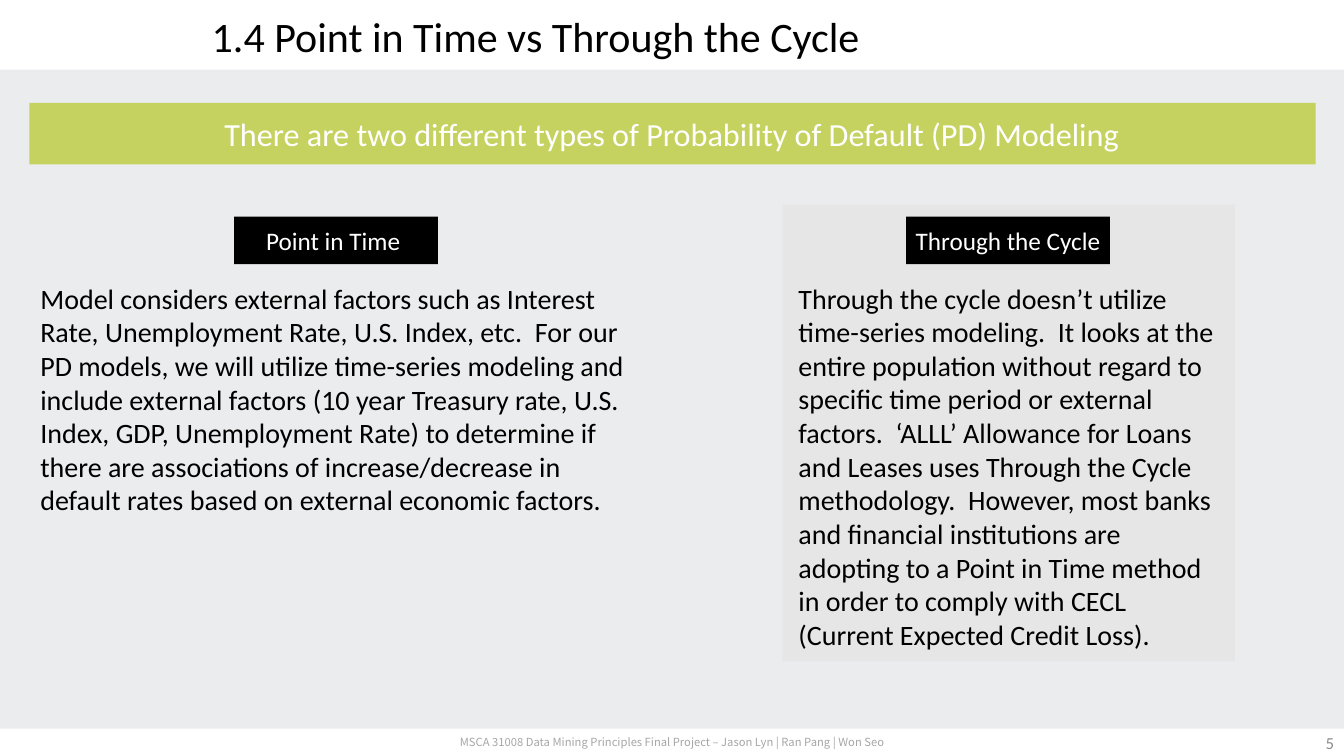
import pptx
import pptx.util
import pptx.dml.color
import pptx.enum.shapes
import pptx.enum.text

WIDTH, HEIGHT = pptx.util.Inches(13.33), pptx.util.Inches(7.5)
ALIGN = pptx.enum.text.PP_ALIGN
ANCHOR = pptx.enum.text.MSO_ANCHOR
SHAPE = pptx.enum.shapes.MSO_SHAPE
TAG_WIDTH = 15.15

POINT_IN_TIME = (
    "Model considers external factors such as Interest Rate, Unemployment Rate, "
    "U.S. Index, etc.  For our PD models, we will utilize time-series modeling and "
    "include external factors (10 year Treasury rate, U.S. Index, GDP, Unemployment "
    "Rate) to determine if there are associations of increase/decrease in default "
    "rates based on external economic factors."
)
THROUGH_THE_CYCLE = (
    "Through the cycle doesn’t utilize time-series modeling.  It looks at the entire "
    "population without regard to specific time period or external factors.  ‘ALLL’ "
    "Allowance for Loans and Leases uses Through the Cycle methodology.  However, "
    "most banks and financial institutions are adopting to a Point in Time method in "
    "order to comply with CECL (Current Expected Credit Loss)."
)


def paint(fill, color):
    """Make a fill solid in a hex colour."""
    fill.solid()
    fill.fore_color.rgb = pptx.dml.color.RGBColor.from_string(color)


def box(x, y, w, h):
    """Turn percentages of the slide's size into left, top, width, height."""
    return [round(share * side / 100)
            for share, side in zip((x, y, w, h), (WIDTH, HEIGHT, WIDTH, HEIGHT))]


def write(sp, text, size, color, align=ALIGN.LEFT, anchor=ANCHOR.MIDDLE,
          inset=None, font="Calibri"):
    """Put one formatted paragraph into a shape."""
    tf = sp.text_frame
    tf.word_wrap = True
    tf.auto_size = pptx.enum.text.MSO_AUTO_SIZE.NONE
    tf.vertical_anchor = anchor
    if inset is not None:
        tf.margin_left = tf.margin_right = pptx.util.Pt(inset)
        tf.margin_top = tf.margin_bottom = pptx.util.Pt(inset)
    p = tf.paragraphs[0]
    p.text = text
    p.alignment = align
    p.font.size = pptx.util.Pt(size)
    p.font.name = font
    paint(p.font.fill, color)


def add_panel(slide, area, color, kind=SHAPE.RECTANGLE):
    """Add a flat filled shape without outline."""
    sp = slide.shapes.add_shape(kind, *box(*area))
    sp.shadow.inherit = False
    sp.line.fill.background()
    paint(sp.fill, color)
    return sp


def add_label(slide, area, *args, **kwargs):
    """Add a text box."""
    write(slide.shapes.add_textbox(*box(*area)), *args, **kwargs)


def add_tag(slide, center, text):
    """Add a black heading tag centred on a column."""
    area = (center - TAG_WIDTH / 2, 28.67, TAG_WIDTH, 6.27)
    sp = add_panel(slide, area, "000000", SHAPE.ROUNDED_RECTANGLE)
    sp.adjustments[0] = 0
    write(sp, text, 18, "FFFFFF", ALIGN.CENTER, inset=0)


def place_title(slide, text):
    """Move the title placeholder into the header band."""
    title = slide.shapes.title
    title.left, title.top, title.width, title.height = box(0, 0, 100, 9.33)
    write(title, text, 30, "000000")
    title.text_frame.margin_left = pptx.util.Inches(2.1)
    slide.shapes.element.append(title.element)


def main():
    """Build and save the slide."""
    prs = pptx.Presentation()
    prs.slide_width, prs.slide_height = WIDTH, HEIGHT
    slide = prs.slides.add_slide(prs.slide_layouts[5])
    paint(slide.background.fill, "EBECED")

    add_panel(slide, (0, 0, 100, 9.2), "FFFFFF")
    add_panel(slide, (0, 96.4, 100, 3.6), "FFFFFF")
    add_label(slide, (25.66, 96.4, 48.76, 3.6),
              "MSCA 31008 Data Mining Principles Final Project – "
              "Jason Lyn | Ran Pang | Won Seo",
              8, "A6A6A6", ALIGN.CENTER, inset=5, font="Noto Sans CJK SC")

    add_panel(slide, (58.21, 27.07, 33.68, 60.4), "E7E6E6")
    banner = add_panel(slide, (2.18, 13.6, 95.72, 8.13), "C6D260")
    write(banner, "There are two different types of Probability of Default (PD) Modeling",
          23, "FFFFFF", ALIGN.CENTER)

    add_tag(slide, 25, "Point in Time ")
    add_tag(slide, 75, "Through the Cycle")
    for area, text in (((2.48, 36.27, 45, 33.2), POINT_IN_TIME),
                       ((58.89, 36.27, 32.26, 51.2), THROUGH_THE_CYCLE)):
        add_label(slide, area, text, 20, "000000", anchor=ANCHOR.TOP, inset=5)

    place_title(slide, "1.4 Point in Time vs Through the Cycle")
    add_label(slide, (77.5, 95.6, 22.5, 5.33), "5", 12, "8C8C8C", ALIGN.RIGHT)
    prs.save("out.pptx")


if __name__ == "__main__":
    main()
